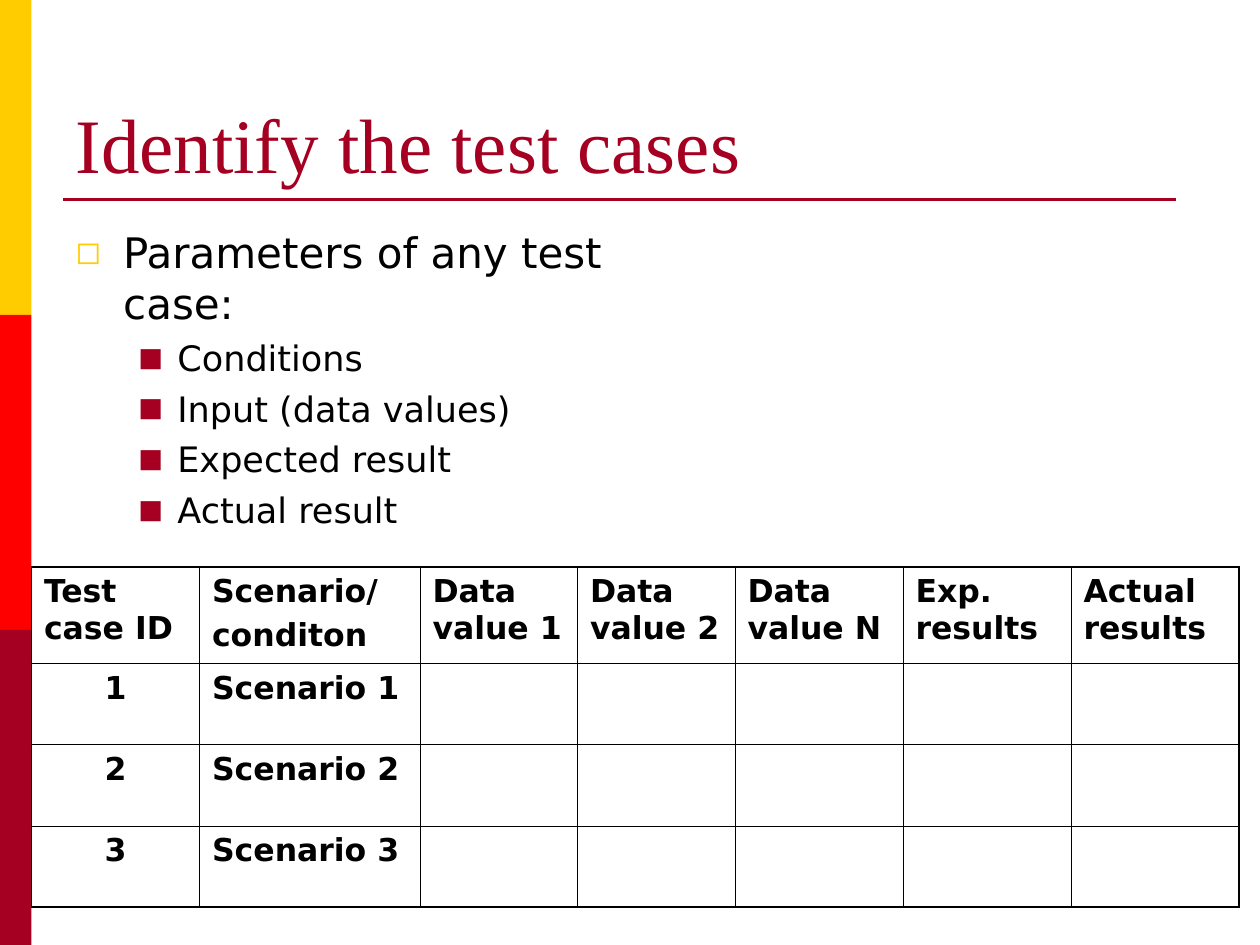
from dataclasses import dataclass

from lxml.etree import SubElement
from pptx import Presentation
from pptx.dml.color import RGBColor
from pptx.enum.shapes import MSO_CONNECTOR, MSO_SHAPE
from pptx.enum.text import MSO_ANCHOR, MSO_AUTO_SIZE, PP_ALIGN
from pptx.oxml.ns import qn
from pptx.util import Inches, Pt


@dataclass(frozen=True)
class Theme:
    yellow: str = "FFCC00"
    red: str = "FF0000"
    maroon: str = "A50021"
    black: str = "000000"
    heading_font: str = "Times New Roman"
    body_font: str = "DejaVu Sans"
    title_size: int = 44
    body_size: int = 24
    sub_size: int = 20
    table_size: int = 18
    rule_width: float = 1.5
    outer_border: float = 1.08
    inner_border: float = 0.45


THEME = Theme()
COLUMNS, ROWS = 120, 90  # slide grid
CELL = Inches(10) / COLUMNS

TABLE_COLUMNS = (16, 21, 15, 15, 16, 16, 16)
TABLE_ROWS = (9.2, 7.73, 7.73, 7.73)
HEADINGS = ("Test case ID", "Scenario/\nconditon", "Data value 1", "Data value 2",
            "Data value N", "Exp. results", "Actual results")
PARAMETERS = ("Conditions", "Input (data values)", "Expected result", "Actual result")


def grid(*lengths):
    """Turn grid units into slide lengths."""
    return [round(length * CELL) for length in lengths]


def write(paragraph, text, size, font=THEME.body_font, color=THEME.black, bold=False,
          align=PP_ALIGN.LEFT, before=0):
    paragraph.alignment = align
    paragraph.space_before = Pt(before)
    run = paragraph.add_run()
    run.text = text
    run.font.size = Pt(size)
    run.font.name = font
    run.font.bold = bold
    run.font.color.rgb = RGBColor.from_string(color)


def add_bullet(paragraph, character, color, margin, hanging):
    properties = paragraph._p.get_or_add_pPr()
    properties.set("marL", str(Inches(margin)))
    properties.set("indent", str(-Inches(hanging)))
    bullet_color = SubElement(properties, qn("a:buClr"))
    SubElement(bullet_color, qn("a:srgbClr"), val=color)
    SubElement(properties, qn("a:buSzPct"), val="75000")
    SubElement(properties, qn("a:buFont"), typeface=THEME.body_font)
    SubElement(properties, qn("a:buChar"), char=character)


def add_side_bands(slide, left, top, width, height):
    colors = (THEME.yellow, THEME.red, THEME.maroon)
    band_height = height / len(colors)
    for index, color in enumerate(colors):
        band = slide.shapes.add_shape(
            MSO_SHAPE.RECTANGLE, *grid(left, top + index * band_height, width, band_height))
        band.shadow.inherit = False
        band.fill.solid()
        band.fill.fore_color.rgb = RGBColor.from_string(color)
        band.line.fill.background()


def add_title_rule(slide, left, top, width):
    rule = slide.shapes.add_connector(
        MSO_CONNECTOR.STRAIGHT, *grid(left, top, left + width, top))
    rule.line.color.rgb = RGBColor.from_string(THEME.maroon)
    rule.line.width = Pt(THEME.rule_width)
    SubElement(rule._element.spPr, qn("a:effectLst"))


def place_title(slide, text, left, top, width, height):
    title = slide.shapes.title
    title.left, title.top, title.width, title.height = grid(left, top, width, height)
    frame = title.text_frame
    frame.auto_size = MSO_AUTO_SIZE.NONE
    frame.vertical_anchor = MSO_ANCHOR.BOTTOM
    write(frame.paragraphs[0], text, THEME.title_size, font=THEME.heading_font,
          color=THEME.maroon)


def add_parameter_list(slide, left, top, width, height):
    frame = slide.shapes.add_textbox(*grid(left, top, width, height)).text_frame
    frame.word_wrap = True
    lead = frame.paragraphs[0]
    write(lead, "Parameters of any test case:", THEME.body_size, before=6)
    add_bullet(lead, "◻", THEME.yellow, margin=0.38, hanging=0.38)
    for parameter in PARAMETERS:
        paragraph = frame.add_paragraph()
        paragraph.level = 1
        write(paragraph, parameter, THEME.sub_size, before=5)
        add_bullet(paragraph, "■", THEME.maroon, margin=0.81, hanging=0.31)


def set_borders(cell, outer_sides):
    properties = cell._tc.get_or_add_tcPr()
    for side in "LRTB":
        width = THEME.outer_border if side in outer_sides else THEME.inner_border
        line = SubElement(properties, qn(f"a:ln{side}"), w=str(Pt(width)))
        fill = SubElement(line, qn("a:solidFill"))
        SubElement(fill, qn("a:srgbClr"), val=THEME.black)


def fill_cell(cell, text, align):
    cell.margin_left = cell.margin_right = Inches(0.1)
    cell.margin_top = cell.margin_bottom = Inches(0.05)
    frame = cell.text_frame
    for index, line in enumerate(text.split("\n") if text else ()):
        paragraph = frame.add_paragraph() if index else frame.paragraphs[0]
        write(paragraph, line, THEME.table_size, bold=True, align=align, before=4.5)


def add_case_table(slide, left, top):
    blanks = ("",) * (len(HEADINGS) - 2)
    content = [HEADINGS] + [(str(case), f"Scenario {case}", *blanks) for case in (1, 2, 3)]
    table = slide.shapes.add_table(
        len(TABLE_ROWS), len(TABLE_COLUMNS),
        *grid(left, top, sum(TABLE_COLUMNS), sum(TABLE_ROWS))).table
    table.first_row = table.horz_banding = False
    for column, width in zip(table.columns, grid(*TABLE_COLUMNS)):
        column.width = width
    for row, height in zip(table.rows, grid(*TABLE_ROWS)):
        row.height = height

    last_row, last_column = len(TABLE_ROWS) - 1, len(TABLE_COLUMNS) - 1
    for row, texts in enumerate(content):
        for column, text in enumerate(texts):
            cell = table.cell(row, column)
            is_case_number = row > 0 and column == 0
            fill_cell(cell, text, PP_ALIGN.CENTER if is_case_number else PP_ALIGN.LEFT)
            edges = {"L": column == 0, "R": column == last_column,
                     "T": row == 0, "B": row == last_row}
            set_borders(cell, [side for side, is_outer in edges.items() if is_outer])
            cell.fill.background()


def main():
    presentation = Presentation()
    presentation.slide_width, presentation.slide_height = grid(COLUMNS, ROWS)
    slide = presentation.slides.add_slide(presentation.slide_layouts[5])
    add_side_bands(slide, 0, 0, 3, ROWS)
    add_title_rule(slide, 6, 19, 106)
    place_title(slide, "Identify the test cases", 6, 3.6, 108, 15)
    add_parameter_list(slide, 6, 21, 53, 59.4)
    add_case_table(slide, 3, 54)
    presentation.save("out.pptx")


if __name__ == "__main__":
    main()
